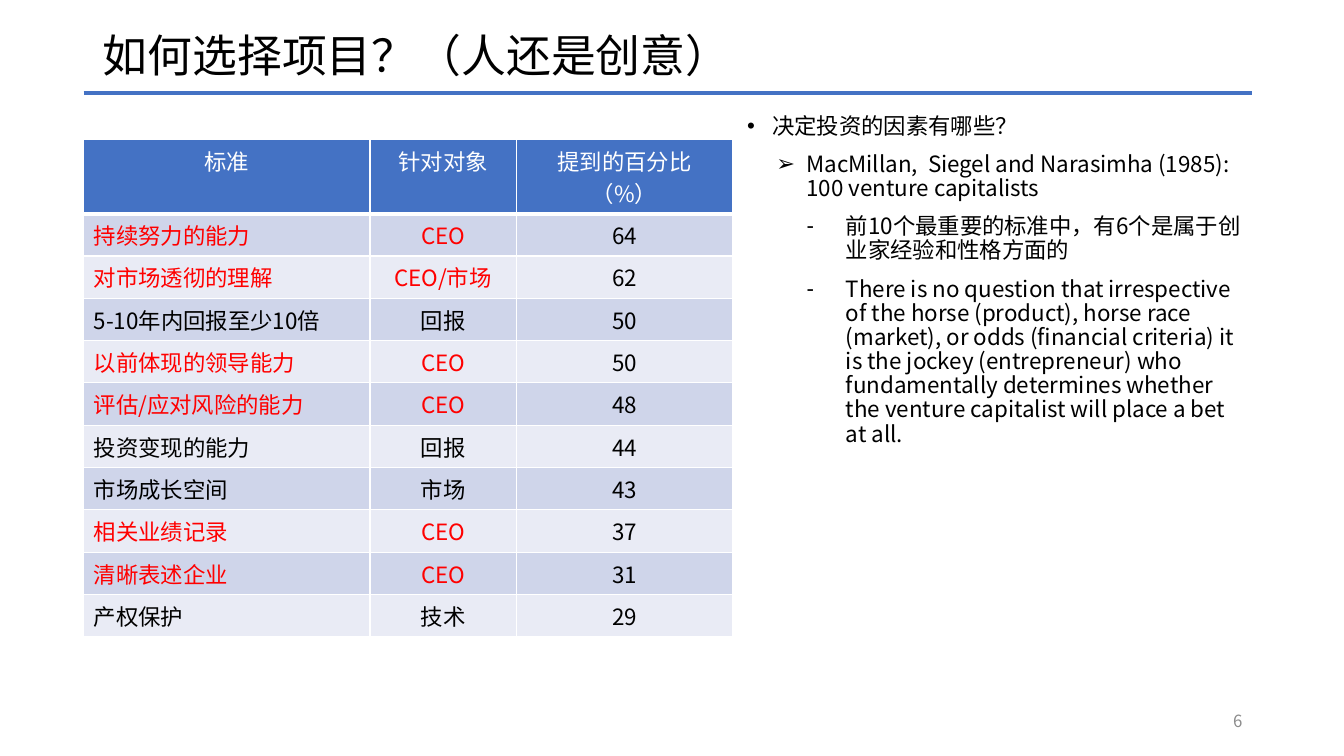
from lxml import etree
from pptx import Presentation
from pptx.dml.color import RGBColor
from pptx.enum.shapes import MSO_CONNECTOR
from pptx.enum.text import MSO_ANCHOR, MSO_AUTO_SIZE, PP_ALIGN
from pptx.oxml.ns import qn
from pptx.util import Inches, Pt

FONT = "Noto Sans CJK SC"
BLUE, WHITE, BLACK, RED, GRAY = "4472C4", "FFFFFF", "000000", "FF0000", "8C8C8C"
BANDS = ("CFD5EA", "E9EBF5")
HEADER_HEIGHT, ROW_HEIGHT = 0.74, 0.42

TITLE = "如何选择项目？（人还是创意）"
HEADER = ("标准", "针对对象", "提到的百分比（%）")
CRITERIA = [
    ("持续努力的能力", "CEO", "64"),
    ("对市场透彻的理解", "CEO/市场", "62"),
    ("5-10年内回报至少10倍", "回报", "50"),
    ("以前体现的领导能力", "CEO", "50"),
    ("评估/应对风险的能力", "CEO", "48"),
    ("投资变现的能力", "回报", "44"),
    ("市场成长空间", "市场", "43"),
    ("相关业绩记录", "CEO", "37"),
    ("清晰表述企业", "CEO", "31"),
    ("产权保护", "技术", "29"),
]
# Level: bullet, left margin, hanging indent
LEVELS = (("•", 0.25, 0.25), ("➢", 0.59, 0.3), ("-", 0.98, 0.39))
POINTS = [
    (0, "决定投资的因素有哪些？"),
    (1, "MacMillan,  Siegel and Narasimha (1985): 100 venture capitalists"),
    (2, "前10个最重要的标准中，有6个是属于创业家经验和性格方面的"),
    (2, "There is no question that irrespective of the horse (product), horse race "
        "(market), or odds (financial criteria) it is the jockey (entrepreneur) who "
        "fundamentally determines whether the venture capitalist will place a bet at all."),
]


def rgb(color):
    return RGBColor.from_string(color)


def place(s, left, top, width, height):
    s.left, s.top = Inches(left), Inches(top)
    s.width, s.height = Inches(width), Inches(height)


def style(p, size, color, align=PP_ALIGN.LEFT):
    p.alignment = align
    for r in p.runs:
        r.font.size, r.font.name = Pt(size), FONT
        r.font.color.rgb = rgb(color)
        etree.SubElement(r.font._element, qn("a:ea"), typeface=FONT)


def add_bullet(p, char, margin, hanging):
    pPr = p._p.get_or_add_pPr()
    pPr.set("marL", str(Inches(margin)))
    pPr.set("indent", str(-Inches(hanging)))
    etree.SubElement(pPr, qn("a:buFont"), typeface="Arial")
    etree.SubElement(pPr, qn("a:buChar"), char=char)


def fill_title(s):
    place(s, 0.92, -0.15, 11.5, 1.45)
    tf = s.text_frame
    tf.text = TITLE
    tf.auto_size, tf.vertical_anchor = MSO_AUTO_SIZE.NONE, MSO_ANCHOR.MIDDLE
    tf.paragraphs[0].line_spacing = 0.9
    style(tf.paragraphs[0], 32, BLACK)


def fill_points(s):
    place(s, 7.31, 1.09, 5.11, 5.67)
    tf = s.text_frame
    tf.text = "\n".join(text for _, text in POINTS)
    tf.auto_size = MSO_AUTO_SIZE.NONE
    for i, (p, (level, _)) in enumerate(zip(tf.paragraphs, POINTS)):
        add_bullet(p, *LEVELS[level])
        p.line_spacing = 0.9
        p.space_before = Pt(10 if i else 0)
        style(p, 16, BLACK)


def add_rule(slide):
    s = slide.shapes.add_connector(MSO_CONNECTOR.STRAIGHT, Inches(0.83), Inches(0.92),
                                   Inches(12.42), Inches(0.92))
    s.line.color.rgb, s.line.width = rgb(BLUE), Pt(3)
    etree.SubElement(s._element.spPr, qn("a:effectLst"))


def add_page_number(slide, number):
    s = slide.shapes.add_textbox(Inches(9.42), Inches(6.95), Inches(3), Inches(0.4))
    tf = s.text_frame
    tf.word_wrap, tf.vertical_anchor = True, MSO_ANCHOR.MIDDLE
    tf.text = number
    style(tf.paragraphs[0], 12, GRAY, PP_ALIGN.RIGHT)


def set_borders(cell, **widths):
    tcPr = cell._tc.get_or_add_tcPr()
    for side in "LRTB":
        ln = etree.SubElement(tcPr, qn("a:ln" + side), w=str(Pt(widths.get(side, 1))))
        fill = etree.SubElement(ln, qn("a:solidFill"))
        etree.SubElement(fill, qn("a:srgbClr"), val=WHITE)


def fill_cell(cell, text, fill, color, align, **borders):
    set_borders(cell, **borders)
    cell.fill.solid()
    cell.fill.fore_color.rgb = rgb(fill)
    cell.text = text
    style(cell.text_frame.paragraphs[0], 16, color, align)


def add_criteria_table(slide):
    height = HEADER_HEIGHT + ROW_HEIGHT * len(CRITERIA)
    table = slide.shapes.add_table(len(CRITERIA) + 1, len(HEADER), Inches(0.83),
                                   Inches(1.38), Inches(6.44), Inches(height)).table
    for column, width in zip(table.columns, (2.84, 1.45, 2.15)):
        column.width = Inches(width)
    # The header row holds two lines of text
    for i, row in enumerate(table.rows):
        row.height = Inches(ROW_HEIGHT if i else HEADER_HEIGHT)
    for c, text in enumerate(HEADER):
        fill_cell(table.cell(0, c), text, BLUE, WHITE, PP_ALIGN.CENTER, B=3)
    for i, row in enumerate(CRITERIA):
        # Criteria about the entrepreneur are red
        key_color = RED if "CEO" in row[1] else BLACK
        for c, text in enumerate(row):
            fill_cell(table.cell(i + 1, c), text, BANDS[i % 2],
                      key_color if c < 2 else BLACK,
                      PP_ALIGN.CENTER if c else PP_ALIGN.LEFT)


def main():
    prs = Presentation()
    prs.slide_width, prs.slide_height = Inches(13.33), Inches(7.5)
    slide = prs.slides.add_slide(prs.slide_layouts[1])
    # Title and list
    fill_title(slide.shapes.title)
    fill_points(slide.placeholders[1])
    # Rule, page number and table
    add_rule(slide)
    add_page_number(slide, "6")
    add_criteria_table(slide)
    prs.save("out.pptx")


if __name__ == "__main__":
    main()
